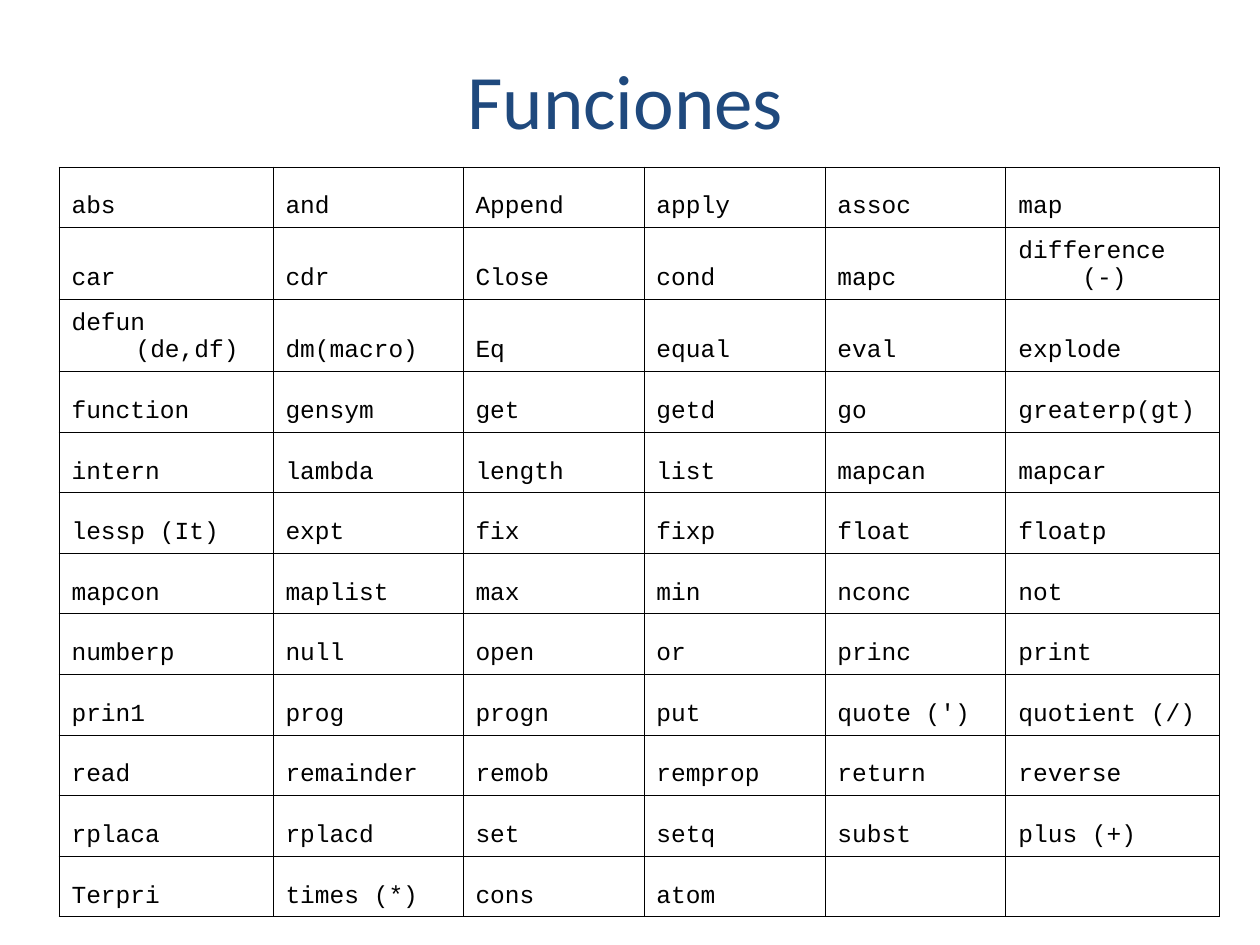
from lxml import etree
from pptx import Presentation
from pptx.dml.color import RGBColor
from pptx.enum.text import MSO_ANCHOR, PP_ALIGN
from pptx.oxml.ns import qn
from pptx.util import Emu, Pt

MIDDLE, BOTTOM = MSO_ANCHOR.MIDDLE, MSO_ANCHOR.BOTTOM
CENTER = PP_ALIGN.CENTER

NAVY = RGBColor(0x1F, 0x49, 0x7D)
BLACK = RGBColor(0x00, 0x00, 0x00)

PX_PER_INCH = 126
BORDER_WIDTH = Pt(0.45)
HANGING_INDENT = 64
COLUMN_WIDTHS = [214, 190, 181, 181, 181, 214]
TWO_LINE_ROWS = {1, 2}
TWO_LINE_HEIGHT = 72

FUNCTIONS = [
    ["abs", "and", "Append", "apply", "assoc", "map"],
    ["car", "cdr", "Close", "cond", "mapc", "difference (-)"],
    ["defun (de,df)", "dm(macro)", "Eq", "equal", "eval", "explode"],
    ["function", "gensym", "get", "getd", "go", "greaterp(gt)"],
    ["intern", "lambda", "length", "list", "mapcan", "mapcar"],
    ["lessp (It)", "expt", "fix", "fixp", "float", "floatp"],
    ["mapcon", "maplist", "max", "min", "nconc", "not"],
    ["numberp", "null", "open", "or", "princ", "print"],
    ["prin1", "prog", "progn", "put", "quote (')", "quotient (/)"],
    ["read", "remainder", "remob", "remprop", "return", "reverse"],
    ["rplaca", "rplacd", "set", "setq", "subst", "plus (+)"],
    ["Terpri", "times (*)", "cons", "atom", "", ""],
]


def px(length):
    return Emu(round(length * 914400 / PX_PER_INCH))


def add_run(paragraph, text, font_name, size, color):
    run = paragraph.add_run()
    run.text = text
    run.font.name = font_name
    run.font.size = Pt(size)
    run.font.color.rgb = color


def add_title(slide, left, top, width, height):
    frame = slide.shapes.add_textbox(px(left), px(top), px(width), px(height)).text_frame
    frame.word_wrap = True
    frame.vertical_anchor = MIDDLE
    heading = frame.paragraphs[0]
    heading.alignment = CENTER
    add_run(heading, "Funciones", "Calibri", 44, NAVY)


def set_borders(cell):
    properties = cell._tc.get_or_add_tcPr()
    for side in ("a:lnL", "a:lnR", "a:lnT", "a:lnB"):
        line = etree.SubElement(properties, qn(side), w=str(int(BORDER_WIDTH)))
        fill = etree.SubElement(line, qn("a:solidFill"))
        etree.SubElement(fill, qn("a:srgbClr"), val=str(BLACK))


def fill_cell(cell, name):
    set_borders(cell)
    cell.fill.background()
    cell.vertical_anchor = BOTTOM
    if not name:
        return
    entry = cell.text_frame.paragraphs[0]
    indent = px(HANGING_INDENT)
    paragraph_properties = entry._p.get_or_add_pPr()
    paragraph_properties.set("marL", str(int(indent)))
    paragraph_properties.set("indent", str(-int(indent)))
    add_run(entry, name, "Courier New", 14, BLACK)


def add_function_table(slide, left, top, width, height):
    """Share the height left by the two-line rows equally among the others."""
    row_count = len(FUNCTIONS)
    table = slide.shapes.add_table(
        row_count, len(COLUMN_WIDTHS), px(left), px(top), px(width), px(height)
    ).table
    table.first_row = False
    table.horz_banding = False
    for column, column_width in zip(table.columns, COLUMN_WIDTHS):
        column.width = px(column_width)

    one_line_height = (height - TWO_LINE_HEIGHT * len(TWO_LINE_ROWS)) / (
        row_count - len(TWO_LINE_ROWS)
    )
    for index, (row, names) in enumerate(zip(table.rows, FUNCTIONS)):
        row.height = px(TWO_LINE_HEIGHT if index in TWO_LINE_ROWS else one_line_height)
        for cell, name in zip(row.cells, names):
            fill_cell(cell, name)


def main():
    presentation = Presentation()
    presentation.slide_width = px(1260)
    presentation.slide_height = px(945)
    slide = presentation.slides.add_slide(presentation.slide_layouts[6])
    add_title(slide, 20, 20, 1211, 158)
    add_function_table(slide, 59, 167, sum(COLUMN_WIDTHS), 750)
    presentation.save("out.pptx")


if __name__ == "__main__":
    main()
